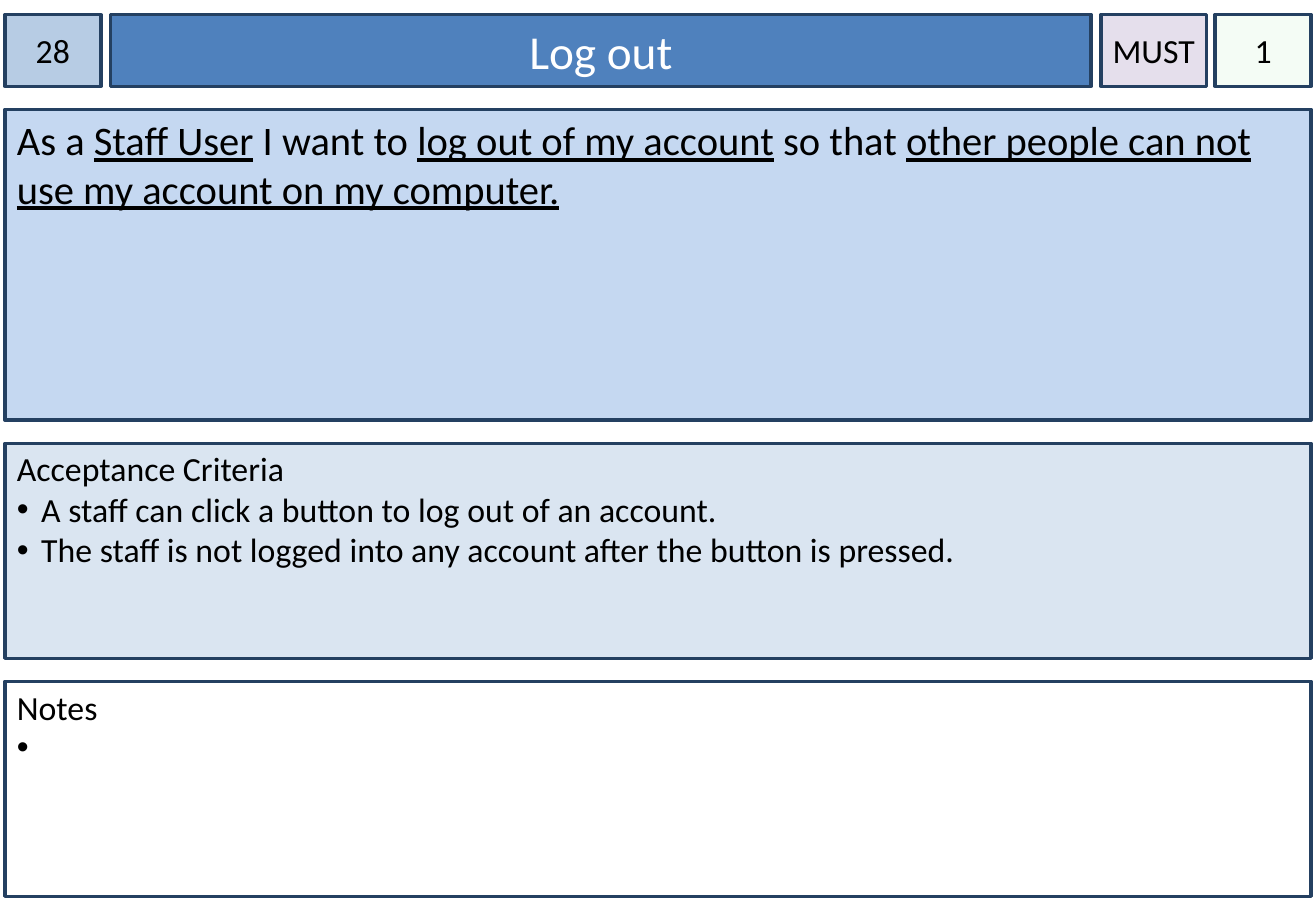
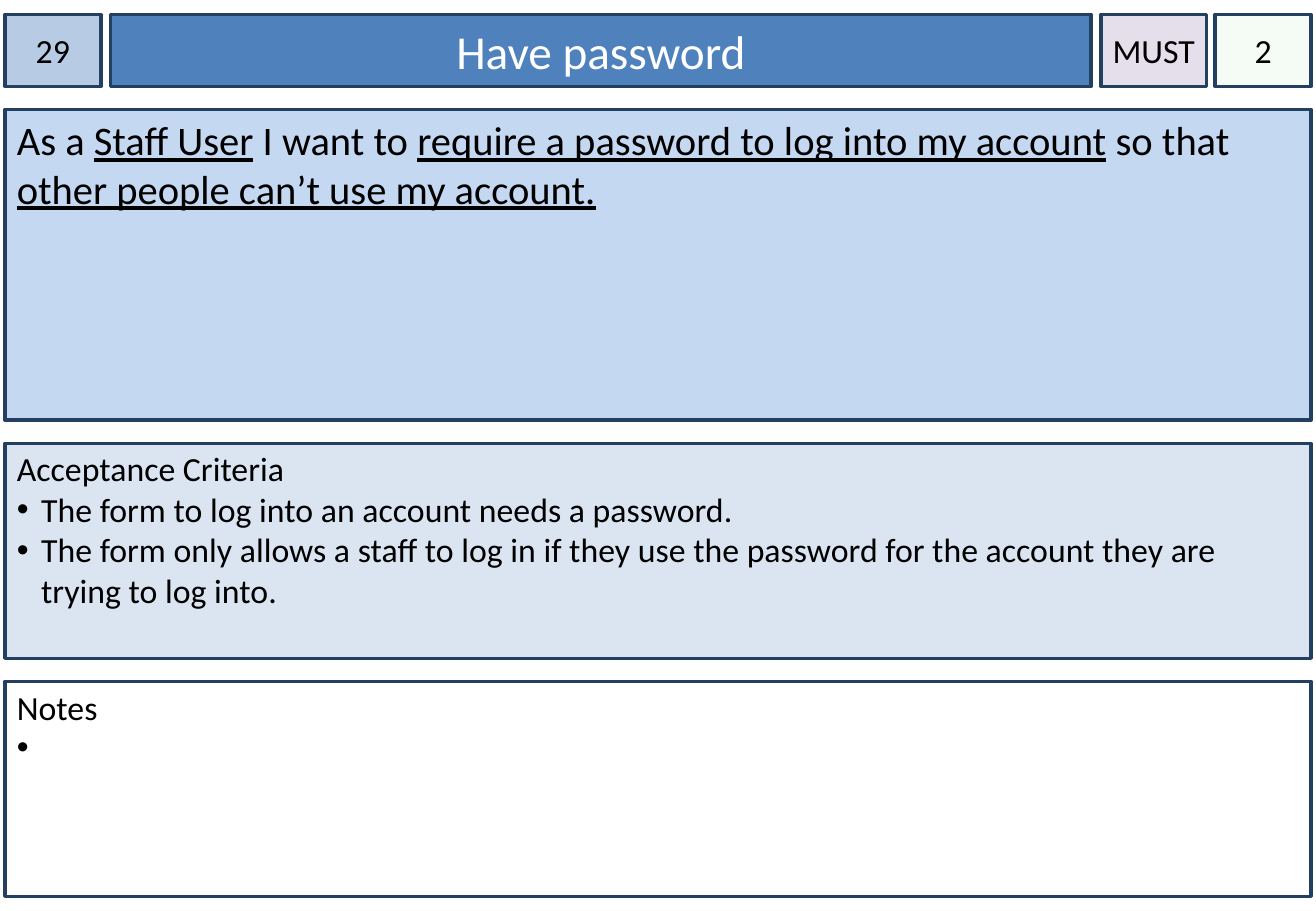
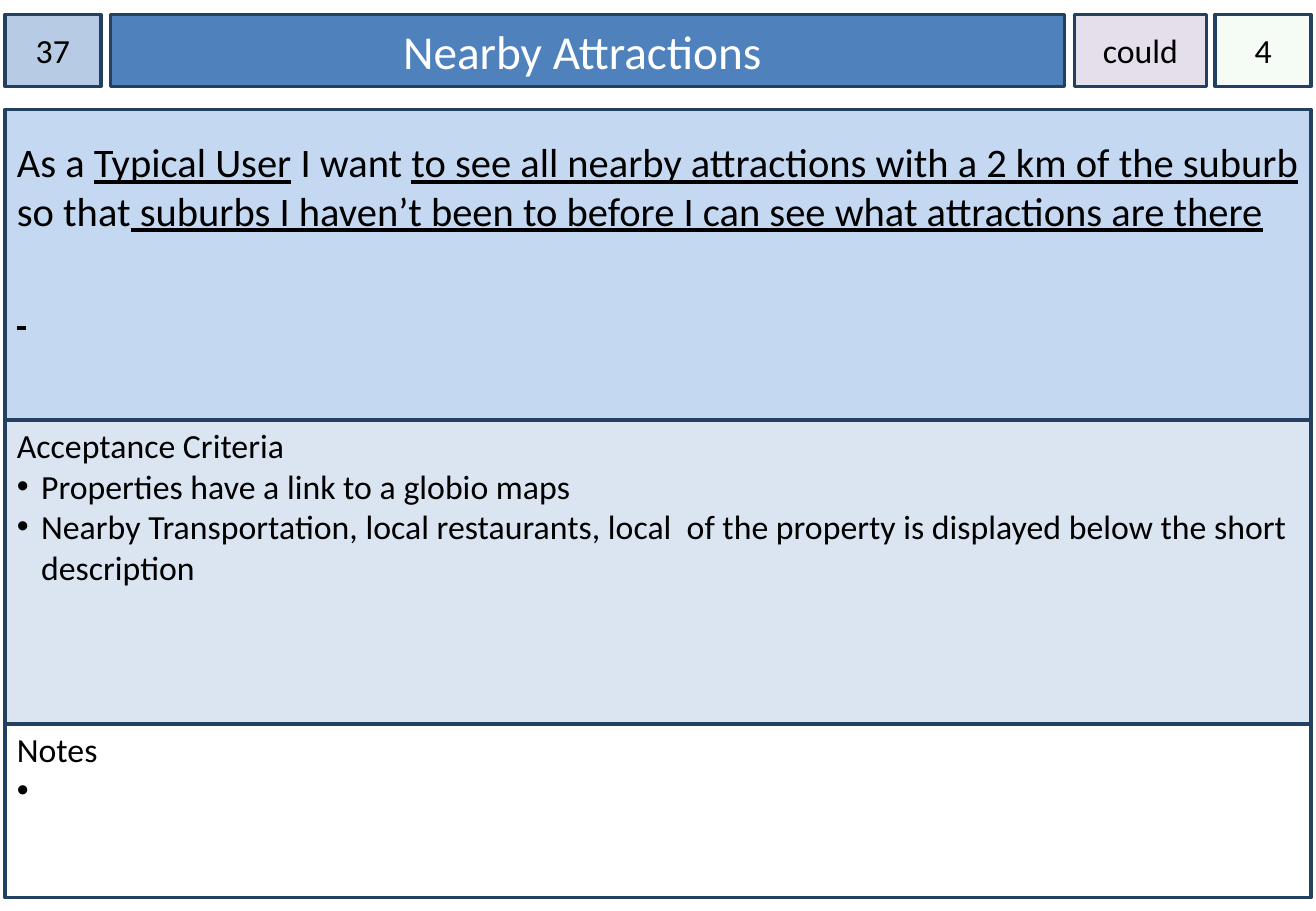
from lxml import etree
from pptx import Presentation
from pptx.dml.color import RGBColor
from pptx.enum.shapes import MSO_SHAPE
from pptx.enum.text import MSO_ANCHOR, PP_ALIGN
from pptx.oxml.ns import qn
from pptx.util import Inches, Pt

RECT = MSO_SHAPE.RECTANGLE
TOP, MIDDLE = MSO_ANCHOR.TOP, MSO_ANCHOR.MIDDLE
LEFT, CENTER = PP_ALIGN.LEFT, PP_ALIGN.CENTER

FONT = "Calibri"
COLORS = {
    "edge": "244061",
    "number": "B7CCE4",
    "title": "4F81BD",
    "story": "C5D8F1",
    "tests": "DAE5F1",
    "rank": "E5DFEC",
    "points": "CCF0CD",
    "white": "FFFFFF",
    "black": "000000",
}

# Shared layout, in inches
SIDE, WIDE = 0.04, 10.75
HEAD_TOP, HEAD_HIGH = 0.12, 0.59
CHIP = 0.79
TITLE_LEFT, POINTS_LEFT = 0.91, 10
TITLE_GAP, RANK_GAP = 0.08, 0.07
STORY_TOP, STORY_HIGH = 0.9, 2.56
INDENT = 0.2

# In a story, "_" switches the underline on and off
CARDS = [
    {
        "number": "28", "title": "Log out", "rank": "MUST", "points": "1",
        "story": ["As a _Staff User_ I want to _log out of my account_ so that "
                  "_other people can not use my account on my computer."],
        "tests": ["A staff can click a button to log out of an account.",
                  "The staff is not logged into any account after the button "
                  "is pressed."],
    },
    {
        "number": "29", "title": "Have password", "rank": "MUST", "points": "2",
        "story": ["As a _Staff User_ I want to _require a password to log into "
                  "my account_ so that _other people can’t use my account."],
        "tests": ["The form to log into an account needs a password.",
                  "The form only allows a staff to log in if they use the "
                  "password for the account they are trying to log into."],
    },
    {
        "number": "37", "title": "Nearby Attractions ", "rank": "could",
        "points": "4", "rank_wide": 1.09, "story_inset": 0.23,
        "gap": 0, "tests_high": 2.5, "notes_high": 1.43,
        "story": ["As a _Typical User_ I want _to see all nearby attractions "
                  "with a 2 km of the suburb _so that_ suburbs I haven’t been "
                  "to before I can see what attractions are there",
                  "_ "],
        "tests": ["Properties have a link to a globio maps",
                  "Nearby Transportation, local restaurants, local  of the "
                  "property is displayed below the short description"],
    },
]


def color(name):
    return RGBColor.from_string(COLORS[name])


def style(para, size, ink="black", align=LEFT):
    para.alignment = align
    for run in para.runs:
        run.font.name = FONT
        run.font.size = Pt(size)
        run.font.color.rgb = color(ink)


def add_box(slide, left, top, width, height, fill, inset=0.1, head=0.05,
            anchor=TOP):
    box = slide.shapes.add_shape(RECT, Inches(left), Inches(top),
                                 Inches(width), Inches(height))
    box.shadow.inherit = False
    box.fill.solid()
    box.fill.fore_color.rgb = color(fill)
    box.line.color.rgb = color("edge")
    box.line.width = Pt(2)
    frame = box.text_frame
    frame.word_wrap = True
    frame.vertical_anchor = anchor
    frame.margin_left = frame.margin_right = Inches(inset)
    frame.margin_top, frame.margin_bottom = Inches(head), Inches(0.05)
    return box


def add_label(slide, left, width, text, fill, size=20, ink="black", inset=0):
    box = add_box(slide, left, HEAD_TOP, width, HEAD_HIGH, fill, inset,
                  anchor=MIDDLE)
    box.text_frame.text = text
    style(box.text_frame.paragraphs[0], size, ink, CENTER)
    return box


def fade(box, percent):
    tint = box.fill._xPr.find(qn("a:solidFill"))[0]
    etree.SubElement(tint, qn("a:alpha")).set("val", str(percent * 1000))


def add_bullet(para):
    props = para._p.get_or_add_pPr()
    props.set("marL", str(Inches(INDENT)))
    props.set("indent", str(-Inches(INDENT)))
    tint = etree.SubElement(props, qn("a:buClr"))
    etree.SubElement(tint, qn("a:srgbClr")).set("val", COLORS["black"])
    etree.SubElement(props, qn("a:buFont")).set("typeface", "Arial")
    etree.SubElement(props, qn("a:buChar")).set("char", "•")


def add_story(slide, lines, head):
    box = add_box(slide, SIDE, STORY_TOP, WIDE, STORY_HIGH, "story", head=head)
    frame = box.text_frame
    for row, line in enumerate(lines):
        para = frame.add_paragraph() if row else frame.paragraphs[0]
        if row:
            para.space_before = Pt(29)
        for turn, part in enumerate(line.split("_")):
            if part:
                run = para.add_run()
                run.text = part
                run.font.underline = turn % 2 == 1
        style(para, 24)


def add_list(slide, top, height, fill, title, items):
    frame = add_box(slide, SIDE, top, WIDE, height, fill, head=0.04).text_frame
    frame.text = "\n".join([title, *items])
    for row, para in enumerate(frame.paragraphs):
        style(para, 20)
        if row:
            add_bullet(para)


def add_card(slide, card):
    # Header row
    rank_wide = card.get("rank_wide", 0.87)
    rank_left = POINTS_LEFT - RANK_GAP - rank_wide
    title_wide = rank_left - TITLE_GAP - TITLE_LEFT
    add_label(slide, SIDE, CHIP, card["number"], "number")
    add_label(slide, TITLE_LEFT, title_wide, card["title"], "title", 28,
              "white", 0.1)
    add_label(slide, rank_left, rank_wide, card["rank"], "rank")
    fade(add_label(slide, POINTS_LEFT, CHIP, card["points"], "points"), 20)

    # Stacked panels
    gap = card.get("gap", 0.19)
    tests_high = card.get("tests_high", 1.77)
    tests_top = STORY_TOP + STORY_HIGH + gap
    notes_top = tests_top + tests_high + gap
    add_story(slide, card["story"], card.get("story_inset", 0.05))
    add_list(slide, tests_top, tests_high, "tests", "Acceptance Criteria",
             card["tests"])
    add_list(slide, notes_top, card.get("notes_high", 1.77), "white", "Notes",
             [" "])


def main():
    deck = Presentation()
    deck.slide_width, deck.slide_height = Inches(10.83), Inches(7.5)
    blank = deck.slide_layouts[6]
    for card in CARDS:
        add_card(deck.slides.add_slide(blank), card)
    deck.save("out.pptx")


if __name__ == "__main__":
    main()
